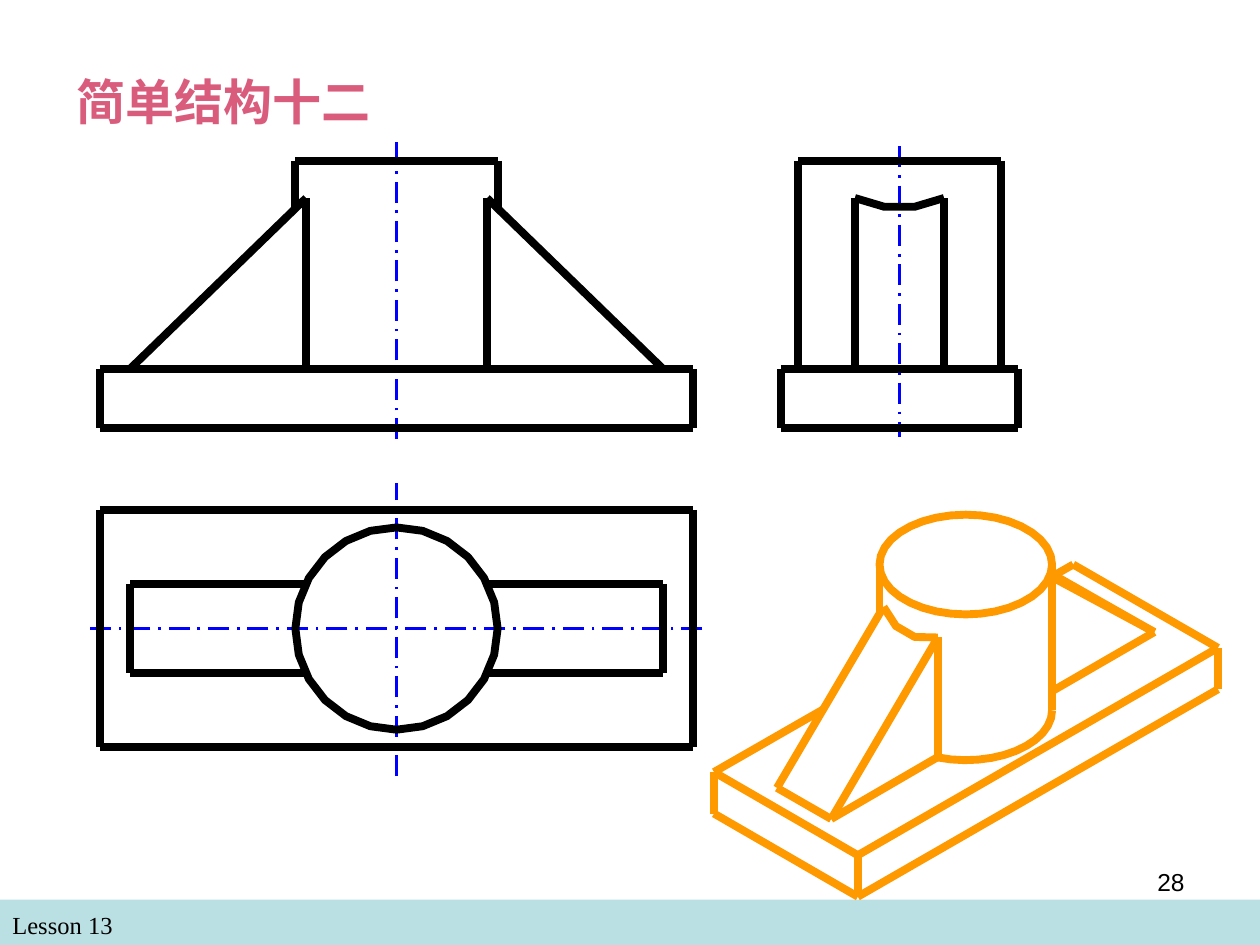
import math
from dataclasses import dataclass

import pptx
import pptx.dml.color
import pptx.enum.dml
import pptx.enum.shapes
import pptx.enum.text
import pptx.oxml.ns
import pptx.util
from lxml import etree

Pt = pptx.util.Pt
Align = pptx.enum.text.PP_ALIGN


@dataclass(frozen=True)
class Theme:
    ink: str = "000000"
    axis: str = "0000FF"
    solid: str = "FF9900"
    title: str = "DA5C7D"
    footer: str = "BBE0E3"
    serif: str = "Times New Roman"
    sans: str = "Arial"
    title_size: float = 28
    small_size: float = 14
    outline: float = 4.5
    thin: float = 1.5


THEME = Theme()
FRONT_X, SIDE_X, PLAN_Y = 226.6, 514, 359.2
BASE_LENGTH, BASE_DEPTH = 169.5, 67.8
RIB_LENGTH, RIB_DEPTH, RIB_ROOT = 152.4, 25.5, 51.7
RADIUS = 57.8
TOP, RIB_TOP, WALL_END, BASE_TOP, BASE_BOTTOM = 92, 113.2, 118.6, 210.9, 244.6


def rgb(color):
    return pptx.dml.color.RGBColor.from_string(color)


def style_line(shape, color, width):
    shape.line.color.rgb = rgb(color)
    shape.line.width = Pt(width)


def add_line(slide, start, end, color=THEME.ink, width=THEME.outline):
    connector = slide.shapes.add_connector(
        pptx.enum.shapes.MSO_CONNECTOR.STRAIGHT,
        *(Pt(value) for value in (*start, *end)))
    style_line(connector, color, width)
    properties = connector._element.spPr
    etree.SubElement(properties, pptx.oxml.ns.qn("a:effectLst"))
    return connector


def add_axis(slide, start, end):
    axis = add_line(slide, start, end, THEME.axis, THEME.thin)
    axis.line.dash_style = pptx.enum.dml.MSO_LINE.LONG_DASH_DOT


def add_polyline(slide, points, color=THEME.ink):
    corners = [(Pt(x), Pt(y)) for x, y in points]
    builder = slide.shapes.build_freeform(*corners[0])
    builder.add_line_segments(corners[1:], close=False)
    shape = builder.convert_to_shape()
    shape.shadow.inherit = False
    shape.fill.background()
    style_line(shape, color, THEME.outline)


def add_box(slide, left, top, right, bottom):
    for y in (top, bottom):
        add_line(slide, (left, y), (right, y))
    for x in (left, right):
        add_line(slide, (x, top), (x, bottom))


def arc_points(center, radii, end_degrees, steps):
    angles = [math.radians(end_degrees * step / steps) for step in range(steps + 1)]
    return [(center[0] + radii[0] * math.cos(angle),
             center[1] + radii[1] * math.sin(angle)) for angle in angles]


def write_text(shape, text, font_name, size, color, bold=False, align=Align.LEFT):
    frame = shape.text_frame
    frame.text = text
    frame.word_wrap = True
    frame.auto_size = pptx.enum.text.MSO_AUTO_SIZE.NONE
    frame.vertical_anchor = pptx.enum.text.MSO_ANCHOR.TOP
    paragraph = frame.paragraphs[0]
    paragraph.alignment = align
    font = paragraph.runs[0].font
    font.name, font.size, font.bold = font_name, Pt(size), bold
    font.color.rgb = rgb(color)


def add_title(slide, text):
    title = slide.shapes.title
    title.left, title.top, title.width, title.height = Pt(36.7), Pt(37.4), Pt(215.3), Pt(41)
    write_text(title, text, THEME.serif, THEME.title_size, THEME.title, bold=True)


def add_label(slide, text, left, top, width, height, font_name, align=Align.LEFT):
    label = slide.shapes.add_textbox(Pt(left), Pt(top), Pt(width), Pt(height))
    write_text(label, text, font_name, THEME.small_size, THEME.ink, align=align)


def add_footer(slide):
    band = slide.shapes.add_shape(
        pptx.enum.shapes.MSO_SHAPE.RECTANGLE, Pt(0), Pt(514), Pt(720), Pt(26))
    band.shadow.inherit = False
    band.fill.solid()
    band.fill.fore_color.rgb = rgb(THEME.footer)
    band.line.fill.background()
    add_label(slide, "Lesson 13", 0, 516.2, 348, 24, THEME.serif)


def draw_axes(slide):
    add_axis(slide, (FRONT_X, 443.5), (FRONT_X, 275.8))
    add_axis(slide, (401.3, PLAN_Y), (48, PLAN_Y))
    add_axis(slide, (FRONT_X, 251), (FRONT_X, 78))
    add_axis(slide, (SIDE_X, 83.5), (SIDE_X, 250))


def draw_front_view(slide):
    add_box(slide, FRONT_X - BASE_LENGTH, BASE_TOP, FRONT_X + BASE_LENGTH, BASE_BOTTOM)
    add_line(slide, (FRONT_X - RADIUS, TOP), (FRONT_X + RADIUS, TOP))
    for side in (-1, 1):
        wall, root, tip = (FRONT_X + side * reach for reach in (RADIUS, RIB_ROOT, RIB_LENGTH))
        add_line(slide, (wall, TOP), (wall, WALL_END))
        add_line(slide, (root, RIB_TOP), (root, BASE_TOP))
        add_line(slide, (root, RIB_TOP), (tip, BASE_TOP))


def draw_side_view(slide):
    add_box(slide, SIDE_X - BASE_DEPTH, BASE_TOP, SIDE_X + BASE_DEPTH, BASE_BOTTOM)
    add_line(slide, (SIDE_X - RADIUS, TOP), (SIDE_X + RADIUS, TOP))
    for side in (-1, 1):
        for reach, top in ((RADIUS, TOP), (RIB_DEPTH, RIB_TOP)):
            x = SIDE_X + side * reach
            add_line(slide, (x, top), (x, BASE_TOP))
    add_polyline(slide, [(SIDE_X - RIB_DEPTH, RIB_TOP), (SIDE_X - 8.7, 118.2),
                         (SIDE_X + 8.7, 118.2), (SIDE_X + RIB_DEPTH, RIB_TOP)])


def draw_plan_view(slide):
    add_box(slide, FRONT_X - BASE_LENGTH, PLAN_Y - BASE_DEPTH,
            FRONT_X + BASE_LENGTH, PLAN_Y + BASE_DEPTH)
    add_polyline(slide, arc_points((FRONT_X, PLAN_Y), (RADIUS, RADIUS), 360, 24))
    for side in (-1, 1):
        root, tip = FRONT_X + side * RIB_ROOT, FRONT_X + side * RIB_LENGTH
        add_line(slide, (tip, PLAN_Y - RIB_DEPTH), (tip, PLAN_Y + RIB_DEPTH))
        for y in (PLAN_Y - RIB_DEPTH, PLAN_Y + RIB_DEPTH):
            add_line(slide, (root, y), (tip, y))


def draw_isometric_view(slide):
    center_x, top_y, bottom_y = 551.9, 322.6, 405.9
    radii = (49.3, 28.5)
    left_wall, right_wall = center_x - radii[0], center_x + radii[0]
    left, front, right, back = (408, 441.2), (490.2, 488.7), (696, 370.2), (613.3, 322.6)
    thickness = 23.7
    lower_left, lower_front, lower_right = (
        (x, y + thickness) for x, y in (left, front, right))
    rib_tip, rib_back_tip = (475, 468), (444, 450.2)
    rib_crest, rib_back_crest, rib_foot = (535.9, 364.3), (504.9, 346.8), (535.9, 432.6)
    far_tip = (659.6, 361.2)
    edges = [
        (lower_left, lower_front), (lower_front, lower_right),
        (left, lower_left), (front, lower_front), (right, lower_right),
        (left, front), (front, right), (right, back),
        (back, (602, 329)), ((470.4, 405.4), left),
        (rib_tip, rib_back_tip), (rib_back_tip, rib_back_crest),
        (rib_tip, rib_crest), (rib_crest, rib_foot), (rib_foot, rib_tip),
        ((right_wall, 328), far_tip), ((right_wall, 329.8), far_tip),
        (far_tip, (right_wall, 395)),
        ((right_wall, bottom_y), (right_wall, top_y)),
        ((left_wall, top_y), (left_wall, 351)),
    ]
    for start, end in edges:
        add_line(slide, start, end, THEME.solid)
    add_polyline(slide, arc_points((center_x, top_y), radii, 360, 36), THEME.solid)
    add_polyline(slide, arc_points((center_x, bottom_y), radii, 109, 12), THEME.solid)
    add_polyline(slide, [rib_back_crest, (512, 357.8), (522.7, 364), rib_crest], THEME.solid)


def main():
    presentation = pptx.Presentation()
    presentation.slide_width, presentation.slide_height = Pt(720), Pt(540)
    slide = presentation.slides.add_slide(presentation.slide_layouts[5])
    add_footer(slide)
    draw_axes(slide)
    draw_front_view(slide)
    draw_plan_view(slide)
    draw_side_view(slide)
    draw_isometric_view(slide)
    add_title(slide, "简单结构十二")
    add_label(slide, "28", 516, 492, 168, 37.5, THEME.sans, Align.RIGHT)
    presentation.save("out.pptx")


if __name__ == "__main__":
    main()
